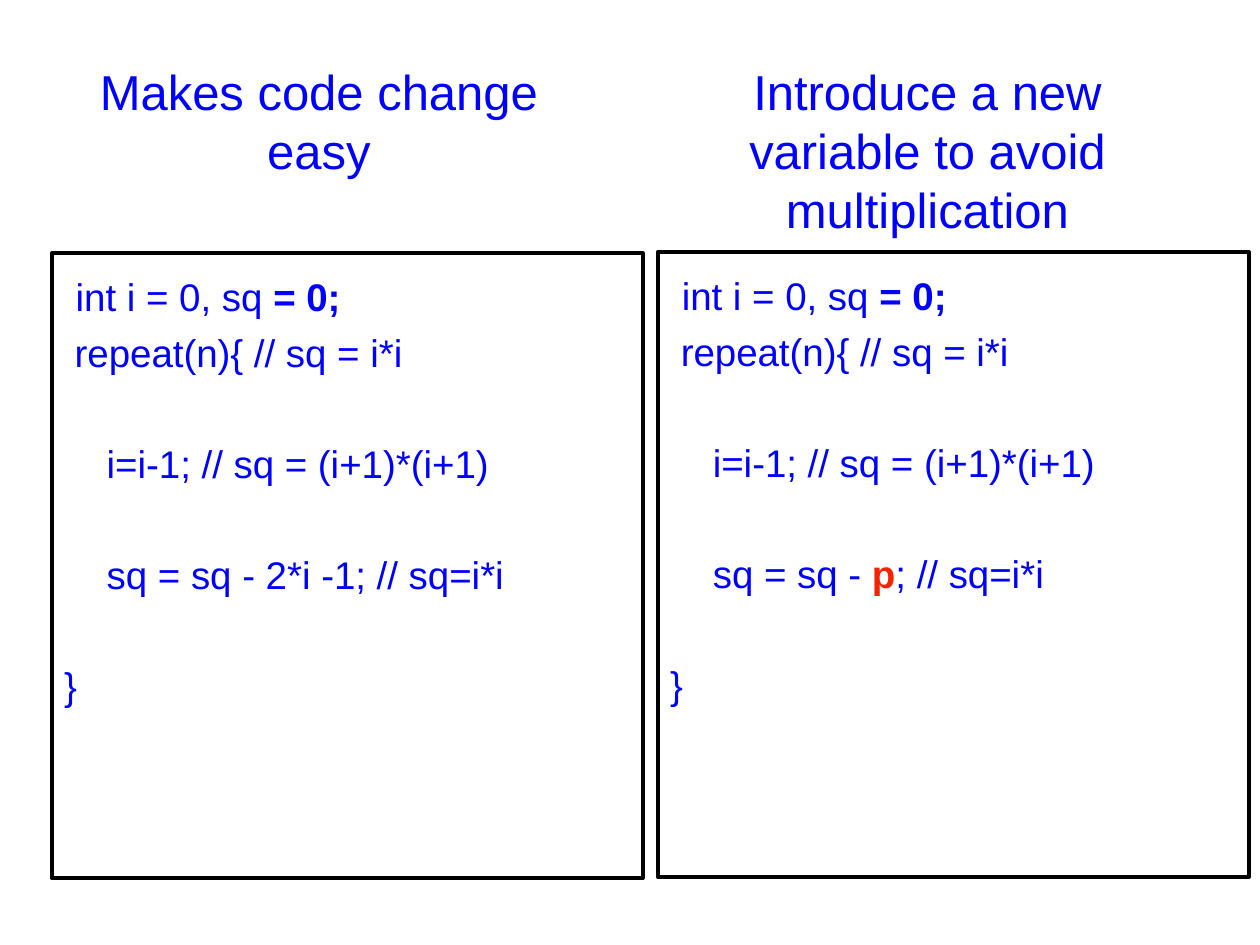
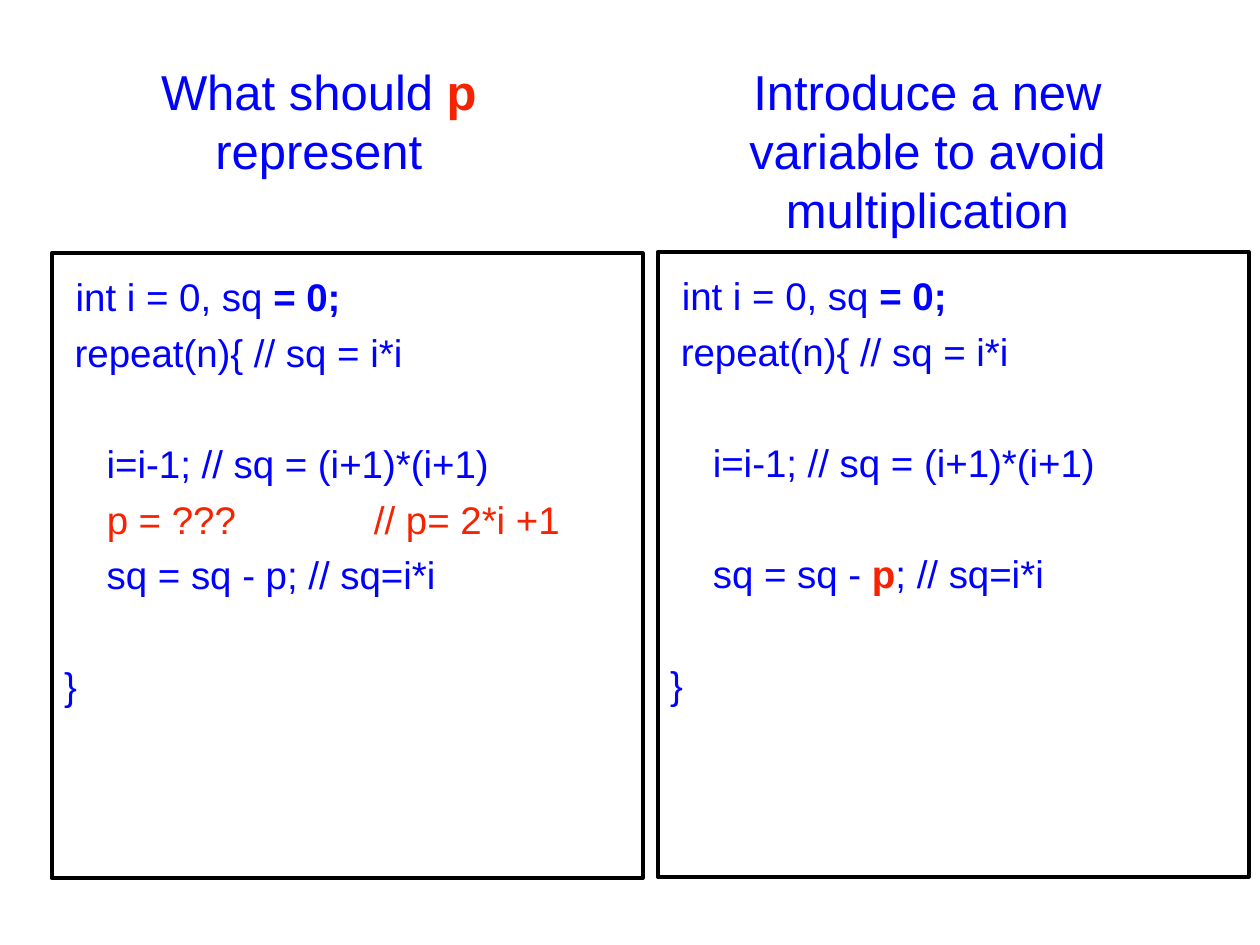
from dataclasses import dataclass
from typing import NamedTuple

from lxml.etree import SubElement
from pptx import Presentation
from pptx.dml.color import RGBColor
from pptx.enum.shapes import MSO_SHAPE
from pptx.enum.text import MSO_ANCHOR, MSO_AUTO_SIZE, PP_ALIGN
from pptx.oxml.ns import qn
from pptx.slide import Slide
from pptx.text.text import TextFrame, _Paragraph
from pptx.util import Inches, Pt

SLIDE_WIDTH, SLIDE_HEIGHT = Inches(10), Inches(7.5)
BLUE = RGBColor(0x00, 0x00, 0xFF)
RED = RGBColor(0xF5, 0x23, 0x01)
BLACK = RGBColor(0x00, 0x00, 0x00)
FONT = "Arial"
HEADING_SIZE, CODE_SIZE, INDENT_SIZE = 28, 22, 24
HEADING_PITCH, CODE_PITCH, FIRST_CODE_PITCH = Pt(33.7), Pt(31.7), Pt(34.6)
COMMENT_TAB = Inches(2.46)


class Area(NamedTuple):
    """Left, top, width and height in percent of the slide."""
    left: float
    top: float
    width: float
    height: float

    def to_emu(self) -> tuple[int, ...]:
        extents = (SLIDE_WIDTH, SLIDE_HEIGHT) * 2
        return tuple(round(share * extent / 100) for share, extent in zip(self, extents))


class Span(NamedTuple):
    text: str
    color: RGBColor = BLUE
    bold: bool = False
    size: float | None = None


@dataclass(frozen=True)
class CodeLine:
    spans: tuple[Span, ...]
    gap_before: bool = False
    comment_tab: bool = False


@dataclass(frozen=True)
class Column:
    heading_area: Area
    code_area: Area


@dataclass(frozen=True)
class Panel:
    heading: tuple[Span, ...]
    code: tuple[CodeLine, ...]


LEFT = Column(Area(3.9, 5.87, 42.8, 13.87), Area(4.1, 26.8, 46.9, 66.13))
RIGHT = Column(Area(52.2, 5.87, 42.8, 20), Area(52.2, 26.67, 46.9, 66.13))

NEW_VARIABLE = Span("p", RED, bold=True)


def loop_code(*update: CodeLine) -> tuple[CodeLine, ...]:
    """The loop that all panels share, around its own update of sq."""
    return (
        CodeLine((Span(" ", size=INDENT_SIZE), Span("int i = 0, sq "),
                  Span("= 0;", bold=True))),
        CodeLine((Span(" repeat(n){ // sq = i*i"),)),
        CodeLine((Span("    i=i-1; // sq = (i+1)*(i+1)"),), gap_before=True),
        *update,
        CodeLine((Span("}"),), gap_before=True),
    )


MULTIPLYING = Panel(
    (Span("Makes code change easy"),),
    loop_code(CodeLine((Span("    sq = sq - 2*i -1; // sq=i*i"),), gap_before=True)),
)
INTRODUCING = Panel(
    (Span("Introduce a new variable to avoid multiplication"),),
    loop_code(CodeLine((Span("    sq = sq - "), NEW_VARIABLE, Span("; // sq=i*i")),
                       gap_before=True)),
)
QUESTIONING = Panel(
    (Span("What should "), NEW_VARIABLE, Span(" represent")),
    loop_code(
        CodeLine((Span("    "), Span("p = ???\t// p= 2*i +1", RED)), comment_tab=True),
        CodeLine((Span("    sq = sq - p; // sq=i*i"),)),
    ),
)
SLIDES = ((MULTIPLYING, INTRODUCING), (QUESTIONING, INTRODUCING))


def add_spans(paragraph: _Paragraph, spans: tuple[Span, ...], size: float) -> None:
    for span in spans:
        run = paragraph.add_run()
        run.text = span.text
        run.font.name = FONT
        run.font.size = Pt(span.size or size)
        run.font.bold = span.bold
        run.font.color.rgb = span.color


def add_tab_stop(paragraph: _Paragraph, position: int) -> None:
    tabs = SubElement(paragraph._p.get_or_add_pPr(), qn("a:tabLst"))
    SubElement(tabs, qn("a:tab"), pos=str(position), algn="l")


def write_code(frame: TextFrame, lines: tuple[CodeLine, ...]) -> None:
    for number, line in enumerate(lines):
        paragraph = frame.add_paragraph() if number else frame.paragraphs[0]
        if line.comment_tab:
            add_tab_stop(paragraph, COMMENT_TAB)
        paragraph.alignment = PP_ALIGN.LEFT
        paragraph.line_spacing = CODE_PITCH if number else FIRST_CODE_PITCH
        if line.gap_before:
            paragraph.space_before = CODE_PITCH
        add_spans(paragraph, line.spans, CODE_SIZE)


def add_heading(slide: Slide, area: Area, spans: tuple[Span, ...]) -> None:
    frame = slide.shapes.add_textbox(*area.to_emu()).text_frame
    frame.word_wrap = True
    frame.auto_size = MSO_AUTO_SIZE.SHAPE_TO_FIT_TEXT
    paragraph = frame.paragraphs[0]
    paragraph.alignment = PP_ALIGN.CENTER
    paragraph.line_spacing = HEADING_PITCH
    add_spans(paragraph, spans, HEADING_SIZE)


def add_code_box(slide: Slide, area: Area, lines: tuple[CodeLine, ...]) -> None:
    box = slide.shapes.add_shape(MSO_SHAPE.RECTANGLE, *area.to_emu())
    box.shadow.inherit = False
    box.fill.background()
    box.line.color.rgb = BLACK
    box.line.width = Pt(2.25)
    box.text_frame.word_wrap = True
    box.text_frame.vertical_anchor = MSO_ANCHOR.TOP
    write_code(box.text_frame, lines)


def main() -> None:
    deck = Presentation()
    deck.slide_width, deck.slide_height = SLIDE_WIDTH, SLIDE_HEIGHT
    blank = deck.slide_layouts[6]
    for panels in SLIDES:
        slide = deck.slides.add_slide(blank)
        for column, panel in zip((LEFT, RIGHT), panels):
            add_heading(slide, column.heading_area, panel.heading)
            add_code_box(slide, column.code_area, panel.code)
    deck.save("out.pptx")


if __name__ == "__main__":
    main()
